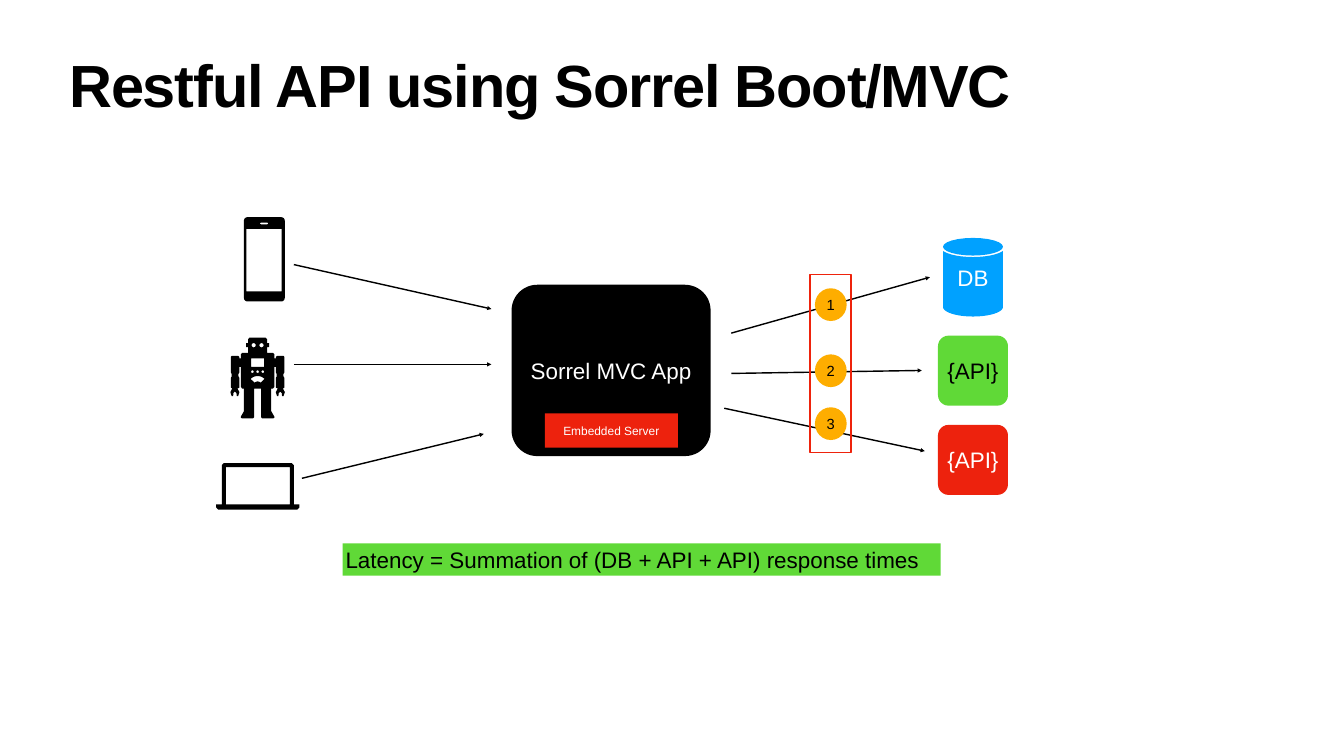
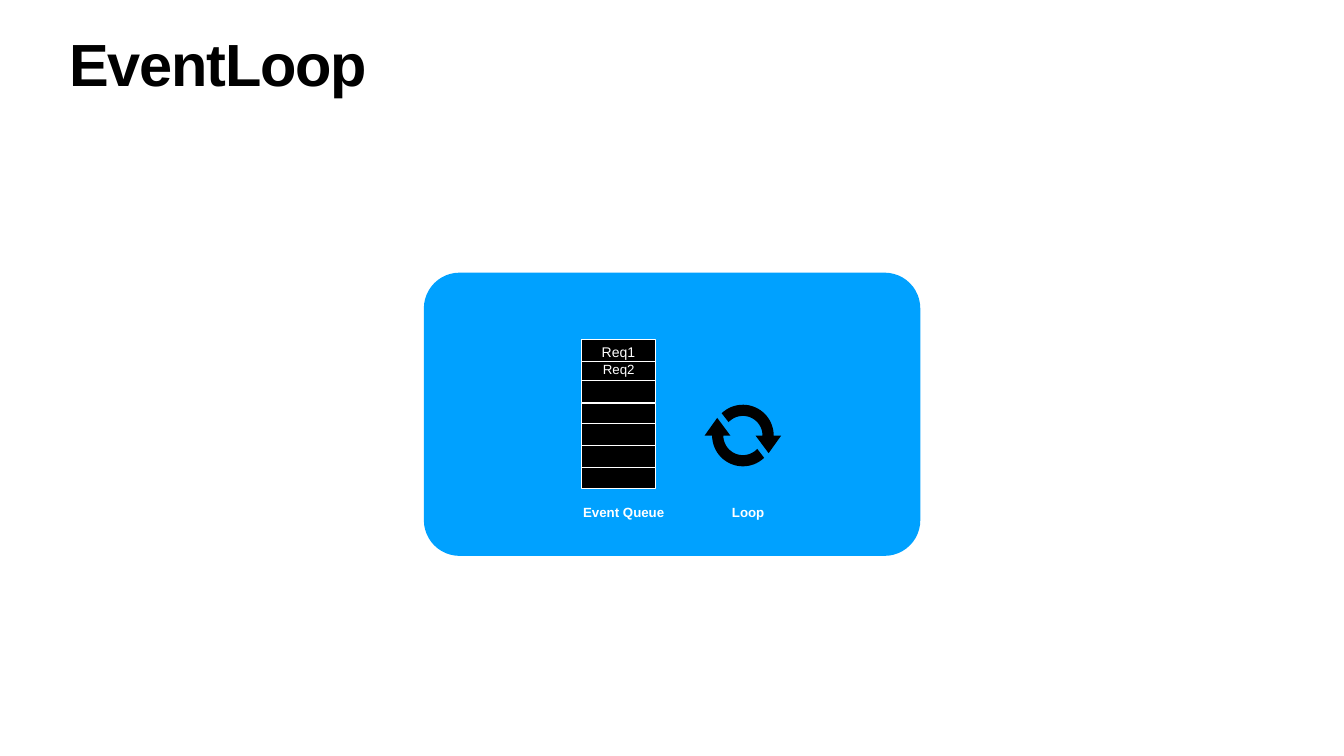
import math

from lxml import etree
from pptx import Presentation
from pptx.dml.color import RGBColor
from pptx.enum import shapes as kinds, text as layout
from pptx.oxml.ns import qn
from pptx.util import Pt

FONT = "Arial"
COLORS = {
    "black": "000000",
    "white": "FFFFFF",
    "blue": "00A1FF",
    "green": "60D937",
    "red": "ED220D",
    "frame": "EE230C",
    "amber": "FEAD00",
}
KIND = kinds.MSO_SHAPE
CENTER, LEFT = layout.PP_ALIGN.CENTER, layout.PP_ALIGN.LEFT
INSET = 4


def rgb(name):
    return RGBColor.from_string(COLORS[name])


# Text and shapes
def write(shape, words, size, color, bold=False, align=CENTER,
          anchor=layout.MSO_ANCHOR.MIDDLE, wrap=True):
    frame = shape.text_frame
    frame.word_wrap = wrap
    frame.vertical_anchor = anchor
    frame.margin_left = frame.margin_right = Pt(INSET)
    frame.margin_top = frame.margin_bottom = Pt(INSET)
    paragraph = frame.paragraphs[0]
    paragraph.alignment = align
    run = paragraph.add_run()
    run.text = words
    run.font.name = FONT
    run.font.size = Pt(size)
    run.font.bold = bold
    run.font.color.rgb = rgb(color)
    return paragraph


def paint(shape, fill=None, line=None, width=1):
    shape.shadow.inherit = False
    if fill:
        shape.fill.solid()
        shape.fill.fore_color.rgb = rgb(fill)
    else:
        shape.fill.background()
    if line:
        shape.line.color.rgb = rgb(line)
        shape.line.width = Pt(width)
    else:
        shape.line.fill.background()
    return shape


def add_block(shapes, kind, box, fill=None, line=None, width=1, corner=None):
    block = shapes.add_shape(kind, *map(Pt, box))
    if corner is not None:
        block.adjustments[0] = corner
    return paint(block, fill, line, width)


def add_title(slide, words, top):
    title = slide.shapes.add_textbox(Pt(95), Pt(top), Pt(1730), Pt(113))
    paragraph = write(title, words, 85, "black", True, LEFT, layout.MSO_ANCHOR.TOP)
    paragraph.line_spacing = 0.8
    paragraph.runs[0].font._element.set("spc", "-170")


def add_label(shapes, words, box, size, bold=False):
    label = shapes.add_textbox(*map(Pt, box))
    write(label, words, size, "white", bold, wrap=False)
    label.text_frame.auto_size = layout.MSO_AUTO_SIZE.SHAPE_TO_FIT_TEXT


def add_arrow(shapes, start, end):
    arrow = shapes.add_connector(kinds.MSO_CONNECTOR.STRAIGHT, *map(Pt, start + end))
    arrow.line.color.rgb = rgb("black")
    arrow.line.width = Pt(2)
    etree.SubElement(arrow.line._get_or_add_ln(), qn("a:tailEnd"), type="triangle")
    etree.SubElement(arrow._element.spPr, qn("a:effectLst"))


# Outlines, as lists of points; inner contours become holes
def arc(cx, cy, rx, ry, start, end, steps=24):
    angles = [math.radians(start + (end - start) * i / steps) for i in range(steps + 1)]
    return [(cx + rx * math.cos(a), cy + ry * math.sin(a)) for a in angles]


def disc(cx, cy, rx, ry):
    return arc(cx, cy, rx, ry, 0, 360)


def rounded(left, top, right, bottom, r=0):
    if not r:
        return [(left, top), (right, top), (right, bottom), (left, bottom)]
    corners = [(right - r, bottom - r), (left + r, bottom - r),
               (left + r, top + r), (right - r, top + r)]
    return [point for i, (x, y) in enumerate(corners)
            for point in arc(x, y, r, r, 90 * i, 90 * i + 90, 6)]


def mirrored(cx, right_half):
    return ([(cx + x, y) for x, y in right_half]
            + [(cx - x, y) for x, y in reversed(right_half)])


def add_outline(shapes, contours, fill):
    per_point = 100
    scaled = [[(x * per_point, y * per_point) for x, y in c] for c in contours]
    builder = shapes.build_freeform(*scaled[0][0], scale=Pt(1) / per_point)
    for i, contour in enumerate(scaled):
        if i:
            builder.move_to(*contour[0])
        builder.add_line_segments(contour[1:], close=True)
    return paint(builder.convert_to_shape(), fill)


# Icons
def add_phone(shapes):
    add_outline(shapes, [
        rounded(348.5, 310.3, 406.8, 430.6, 5),
        rounded(371.5, 318.2, 383, 320.4, 1.1),
        rounded(352, 326.9, 402.5, 416.2),
    ], "black")


def add_robot(shapes):
    cx = 368
    half = [
        # head and ear
        (11.5, 482.4), (13.5, 484.5), (13.5, 490.3), (16.5, 490.3), (16.5, 496),
        (13.5, 496), (13.5, 504),
        # shoulder and arm
        (22, 504), (23.8, 506), (23.8, 512), (26, 512), (26, 510), (28, 508.3),
        (37, 508.3), (38.3, 510), (38.3, 532), (37, 534.2), (37, 537.8),
        (38.3, 540), (38.3, 553.7), (36.2, 555.1),
        # hand
        (38.9, 560.2), (37, 566), (35, 566), (34.5, 561.5), (32.4, 559.4),
        (30.2, 561.5), (29.7, 566), (27.8, 566), (26, 560.2), (28.8, 555.1),
        # inner arm and body
        (26, 553.7), (26, 540), (27.3, 537.8), (27.3, 534.2), (26, 532),
        (26, 524.2), (23.8, 524.2), (23.8, 553), (22, 555.1),
        # leg
        (19.5, 555.1), (19.5, 587.5), (23.8, 595), (23.8, 597), (22.3, 597.6),
        (6.3, 597.6), (5, 596), (5, 555.1),
    ]
    eyes = [disc(cx + dx, 493.2, 3, 3) for dx in (-5.6, 5.6)]
    buttons = [disc(cx + dx, 531, 1.9, 1.9) for dx in (-7.4, 0, 7.4)]
    panel = rounded(cx - 9.4, 511.9, cx + 9.4, 524.2)
    dial = arc(cx, 551, 13.8, 13.8, -136, -44) + arc(cx, 551, 6, 6, -44, -136)
    add_outline(shapes, [mirrored(cx, half), *eyes, panel, *buttons, dial], "black")


def add_laptop(shapes):
    cx = 368.3
    half = [(48.6, 661.7), (51.4, 664.5), (51.4, 720.7), (59.4, 720.7),
            (59.4, 725), (56.5, 727.9)]
    screen = rounded(cx - 45.7, 667.4, cx + 45.7, 720.7)
    add_outline(shapes, [mirrored(cx, half), screen], "black")


def add_database(shapes):
    cx, lid_y, rx = 1390, 352.5, 42.85
    lid = disc(cx, lid_y, rx, 12.6)
    body = arc(cx, lid_y, 47, 14.7, 24.5, 155.5) + arc(cx, 438.5, rx, 13.7, 180, 0)
    write(add_outline(shapes, [lid, body], "blue"), "DB", 32, "white")


def add_cycle(shapes):
    cx, cy, outer, inner = 1061.3, 622.2, 44, 28
    head = [(cx + 54.7, cy), (cx + 36.7, cy + 25.2), (cx + 18, cy)]
    upper = (arc(cx, cy, outer, outer, -133.6, 0) + head
             + arc(cx, cy, inner, inner, 0, -137))
    lower = [(2 * cx - x, 2 * cy - y) for x, y in upper]
    add_outline(shapes, [upper, lower], "black")


# Slides
def build_rest_slide(slide):
    shapes = slide.shapes
    add_title(slide, "Restful API using Sorrel Boot/MVC", 85)

    # Application and its back ends
    app = add_block(shapes, KIND.ROUNDED_RECTANGLE, (730.8, 406.8, 284.4, 244.8),
                    "black", corner=0.15)
    write(app, "Sorrel MVC App", 32, "white")
    add_database(shapes)
    for top, fill, color in ((479.5, "green", "black"), (607, "red", "white")):
        api = add_block(shapes, KIND.ROUNDED_RECTANGLE, (1340, top, 100, 100),
                        fill, corner=0.15)
        write(api, "{API}", 32, color)
    server = add_block(shapes, KIND.RECTANGLE, (778.3, 590.4, 190, 49), "red")
    write(server, "Embedded Server", 17, "white")

    # Clients
    clients = shapes.add_group_shape().shapes
    add_phone(clients)
    add_robot(clients)
    add_laptop(clients)

    # Requests in, calls out
    for start, end in (
        ((419.8, 378), (702, 441.4)),
        ((419.8, 520.6), (702, 520.6)),
        ((431.3, 683.3), (691.2, 619.9)),
        ((1044.7, 475.9), (1328.4, 396)),
        ((1044.7, 533.5), (1316.9, 529.2)),
        ((1034.6, 583.2), (1321.2, 644.4)),
    ):
        add_arrow(shapes, start, end)

    # Numbered calls
    calls = shapes.add_group_shape().shapes
    for number, top in enumerate((411.8, 506.2, 581.8), 1):
        badge = add_block(calls, KIND.OVAL, (1164.2, top, 45.4, 46.8), "amber")
        write(badge, str(number), 21, "black")

    latency = add_block(shapes, KIND.RECTANGLE, (489.6, 776.2, 854, 46), "green")
    write(latency, "Latency = Summation of (DB + API + API) response times",
          32, "black", align=LEFT)
    add_block(shapes, KIND.RECTANGLE, (1157, 392.4, 59, 254.2), line="frame", width=2)


def build_event_loop_slide(slide):
    shapes = slide.shapes
    add_title(slide, "EventLoop", 55)
    add_block(shapes, KIND.ROUNDED_RECTANGLE, (605.5, 389.5, 709.2, 404.6),
              "blue", corner=0.126)

    # Queue slots; the top one overlaps the second
    queue = shapes.add_group_shape().shapes
    for top in (515.5, 543.6, 576, 605.5, 636.5, 667.4, 484.6):
        add_block(queue, KIND.RECTANGLE, (830.9, top, 105.8, 31), "black", "white")

    add_cycle(shapes)
    add_label(shapes, "Event Queue", (828.7, 715.7, 124.6, 31.7), 19, True)
    add_label(shapes, "Loop", (1041.1, 715.7, 55.4, 31.7), 19, True)
    add_label(shapes, "Req1", (855.4, 486.7, 56.2, 31.7), 20)
    add_label(shapes, "Req2", (856.8, 511.9, 54, 30.2), 19)


def main():
    deck = Presentation()
    deck.slide_width, deck.slide_height = Pt(1920), Pt(1080)
    blank = deck.slide_layouts[6]
    for build in (build_rest_slide, build_event_loop_slide):
        build(deck.slides.add_slide(blank))
    deck.save("out.pptx")


if __name__ == "__main__":
    main()
